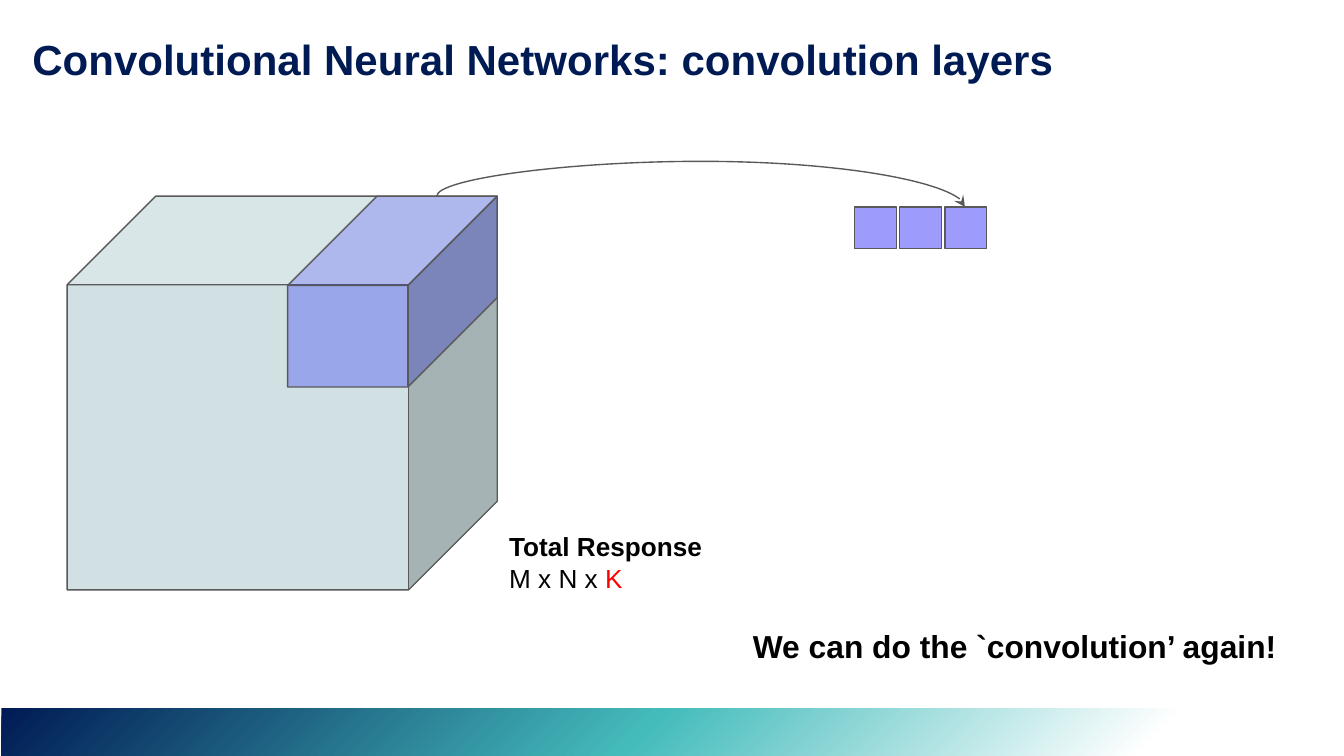
from lxml import etree
from pptx import Presentation
from pptx.dml.color import RGBColor
from pptx.enum.shapes import MSO_CONNECTOR, MSO_SHAPE
from pptx.enum.text import MSO_ANCHOR, PP_ALIGN
from pptx.oxml.ns import qn
from pptx.util import Inches, Pt

RECT, CUBE = MSO_SHAPE.RECTANGLE, MSO_SHAPE.CUBE
CURVE = MSO_CONNECTOR.CURVE
LEFT, RIGHT = PP_ALIGN.LEFT, PP_ALIGN.RIGHT
TOP = MSO_ANCHOR.TOP
COLORS = {
    "navy": "001B54", "teal": "45BCBC", "white": "FFFFFF", "black": "000000",
    "red": "FF0000", "outline": "595959", "volume": "D0E0E3",
    "filter": "0003FF", "response": "9D9BFC",
}


def rgb(name):
    """Return the named colour."""
    return RGBColor.from_string(COLORS[name])


def sub(parent, tag, **attrs):
    """Append a DrawingML element to parent."""
    return etree.SubElement(parent, qn(tag), attrs)


def set_text(sp, lines, size, align=LEFT):
    """Fill a shape with lines, each a list of (text, colour, bold) runs."""
    tf = sp.text_frame
    frame = {"word_wrap": True, "vertical_anchor": TOP}
    frame |= {f"margin_{side}": Inches(0.1) for side in ("left", "top", "right", "bottom")}
    for name, value in frame.items():
        setattr(tf, name, value)
    for i, runs in enumerate(lines):
        p = tf.paragraphs[0] if i == 0 else tf.add_paragraph()
        p.alignment = align
        for text, color, bold in runs:
            r = p.add_run()
            r.text = text
            for name, value in {"name": "Arial", "size": Pt(size), "bold": bold}.items():
                setattr(r.font, name, value)
            r.font.color.rgb = rgb(color)


def add_label(s, box, lines, size, align=LEFT):
    """Add a wrapped text box."""
    set_text(s.shapes.add_textbox(*map(Inches, box)), lines, size, align)


def add_title(s, box, text):
    """Place and format the title placeholder."""
    sp = s.shapes.title
    for name, value in zip(("left", "top", "width", "height"), box):
        setattr(sp, name, Inches(value))
    set_text(sp, [[(text, "navy", True)]], 22.5)


def add_footer_band(s, box):
    """Add the gradient band along the bottom edge."""
    sp = s.shapes.add_shape(RECT, *map(Inches, box))
    sp.shadow.inherit = False
    sp.line.fill.background()
    sp.fill.gradient()
    sp.fill.gradient_angle = 315
    stops = sp._element.spPr.find(f".//{qn('a:gsLst')}")
    stops.clear()
    for pos, color in ((0, "navy"), (48, "teal"), (85, "white"), (100, "white")):
        sub(sub(stops, "a:gs", pos=str(pos * 1000)), "a:srgbClr", val=COLORS[color])


def add_solid(s, kind, box, color, depth=None, alpha=None):
    """Add an outlined solid, with optional cube depth and opacity in percent."""
    sp = s.shapes.add_shape(kind, *map(Inches, box))
    sp.shadow.inherit = False
    sp.fill.solid()
    sp.fill.fore_color.rgb = rgb(color)
    sp.line.color.rgb = rgb("outline")
    sp.line.width = Pt(0.75)
    if depth:
        sp.adjustments[0] = depth
    if alpha:
        fill = sp._element.spPr.find(f"{qn('a:solidFill')}/{qn('a:srgbClr')}")
        sub(fill, "a:alpha", val=str(alpha * 1000))


def add_volume(s, box):
    """Draw the response volume with the filter in its top right corner."""
    x, y, w, h = box
    add_solid(s, CUBE, box, "volume", depth=0.225)
    fw, fh = 1.56, 1.42
    add_solid(s, CUBE, (x + w - fw, y, fw, fh), "filter", depth=0.468, alpha=26)


def add_responses(s, box, count):
    """Draw a row of equal response cells filling the box."""
    x, y, w, size = box
    step = (w - size) / (count - 1)
    for i in range(count):
        add_solid(s, RECT, (x + i * step, y, size, size), "response")


def add_arc(s, start, end, rise):
    """Draw a curved arrow that leaves upwards and lands from above."""
    (x1, y1), (x2, y2) = start, end
    cx, cy = (x1 + x2) / 2, (y1 + y2) / 2
    drop, span = y2 - y1, x2 - x1
    cn = s.shapes.add_connector(CURVE, *map(Inches, (
        cx + drop / 2, cy - span / 2, cx - drop / 2, cy + span / 2)))
    cn.line.color.rgb = rgb("outline")
    cn.line.width = Pt(0.75)
    sub(cn.line._get_or_add_ln(), "a:tailEnd", type="stealth")
    props = cn._element.spPr
    props.find(qn("a:xfrm")).set("rot", str(270 * 60000))
    geom = props.find(qn("a:prstGeom"))
    sub(geom.find(qn("a:avLst")), "a:gd", name="adj1",
        fmla=f"val {round(-rise / drop * 100000)}")
    sub(props, "a:effectLst")


def main():
    """Build the slide and save it."""
    prs = Presentation()
    prs.slide_width, prs.slide_height = Inches(10), Inches(10 * 9 / 16)
    s = prs.slides.add_slide(prs.slide_layouts[5])
    add_footer_band(s, (0.01, 5.27, 10, 0.37))
    add_title(s, (0.14, 0.15, 9.72, 0.63),
              "Convolutional Neural Networks: convolution layers")
    add_label(s, (3.69, 3.85, 1.97, 0.55), [
        [("Total Response", "black", True)],
        [("M x N x ", "black", False), ("K", "red", False)],
    ], 14)
    add_label(s, (5.29, 4.56, 4.31, 0.39),
              [[("We can do the `convolution’ again!", "black", True)]], 17, RIGHT)
    add_volume(s, (0.5, 1.46, 3.2, 2.93))
    add_responses(s, (6.36, 1.54, 0.98, 0.31), 3)
    add_arc(s, (3.25, 1.46), (7.18, 1.54), 0.26)
    prs.save("out.pptx")


if __name__ == "__main__":
    main()
